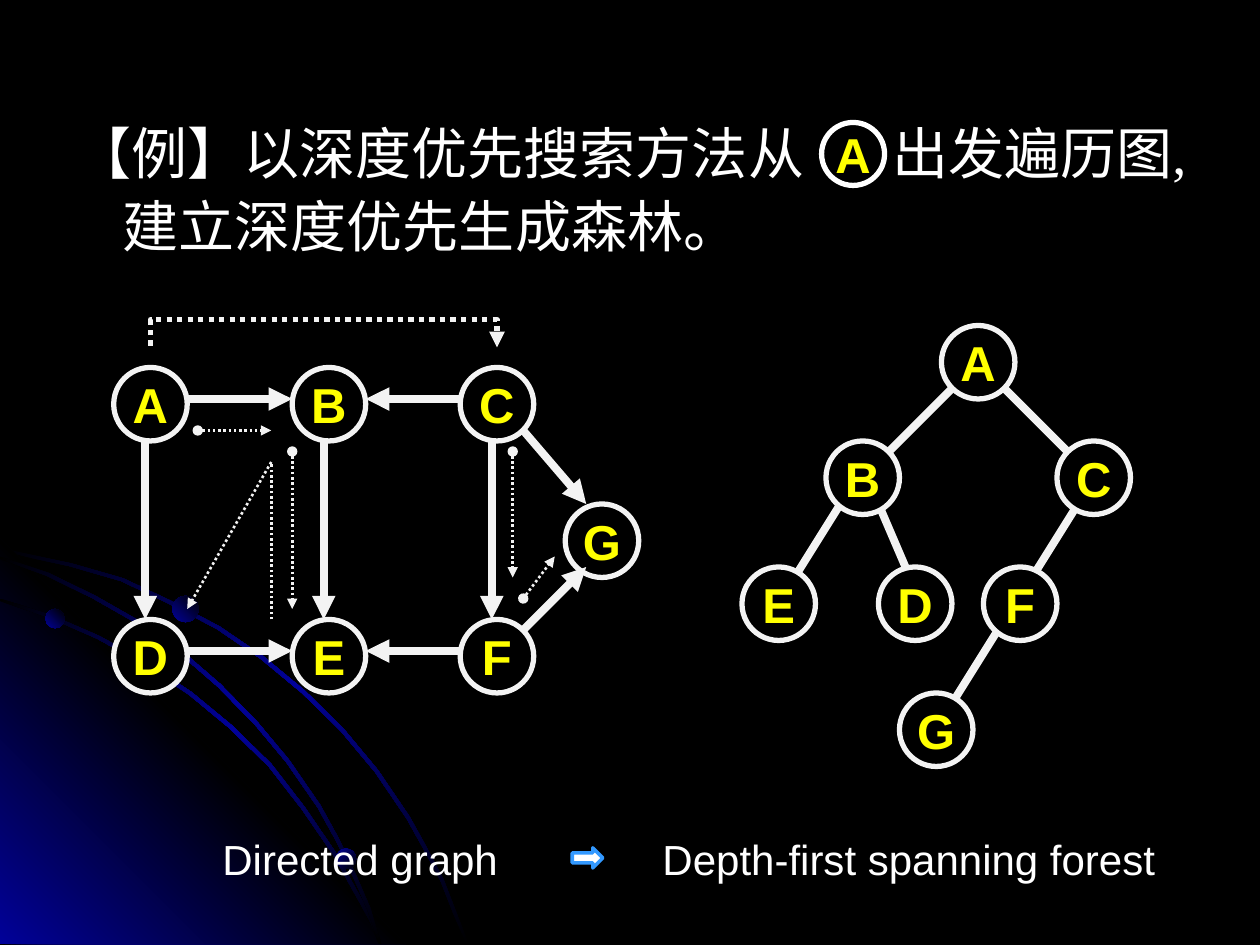
from lxml import etree
from pptx import Presentation
from pptx import util as u
from pptx.dml.color import RGBColor
from pptx.enum import dml, shapes, text
from pptx.oxml import ns

Pt = u.Pt
HUE = {"back": "000000", "blue": "010199", "edge": "F3F3F3", "white": "FFFFFF",
       "mark": "FFFF00", "rim": "3399FF"}
NODE = 42
ARCS = [
    [(0, 313), (20, 317.5), (41, 322), (70.5, 330.5), (98, 343.5), (125.5, 358),
     (150.5, 375), (174, 394.5), (196, 416), (216, 440), (234, 466.5),
     (244, 484.5), (253.5, 502.5), (260.5, 520.5), (268, 539.5)],
    [(0, 342), (29.5, 351.5), (57, 363.5), (84, 378.5), (109.5, 395.5),
     (132.5, 414.5), (155, 436.5), (174, 461), (191.5, 486.5), (206, 512.5),
     (213, 525.5), (218, 539.5)],
    [(0, 318), (28, 327.5), (54.5, 340.5), (80, 355), (103.5, 371.5), (126, 391),
     (147, 412.5), (165, 434), (183, 460), (193.5, 479), (203, 499),
     (211.5, 518.5), (218, 539.5)],
]


def hue(name):
    return RGBColor.from_string(HUE[name])


def sub(node, tag, **attrs):
    return etree.SubElement(node, ns.qn(tag), attrs)


def add_run(para, words, size, color, font="Arial", bold=False, gap=0):
    run = para.add_run()
    run.text = words
    run.font.size, run.font.name, run.font.bold = Pt(size), font, bold
    run.font.color.rgb = hue(color)
    if gap:
        run._r.get_or_add_rPr().set("spc", str(gap * 100))


def add_line(slide, start, end, width=4.5, head=None, tail=None, dots=False,
             kind=shapes.MSO_CONNECTOR.STRAIGHT):
    line = slide.shapes.add_connector(kind, *map(Pt, (*start, *end)))
    line.line.color.rgb = hue("edge")
    line.line.width = Pt(width)
    if dots:
        line.line.dash_style = dml.MSO_LINE.ROUND_DOT
    for tag, tip in (("a:headEnd", head), ("a:tailEnd", tail)):
        if tip:
            sub(line.line._get_or_add_ln(), tag, type=tip)
    sub(line._element.spPr, "a:effectLst")
    return line


def add_node(slide, name, x, y, size=NODE, fill=True, edge="edge"):
    node = slide.shapes.add_shape(shapes.MSO_SHAPE.OVAL, Pt(x), Pt(y), Pt(size), Pt(size))
    node.shadow.inherit = False
    if fill:
        node.fill.solid()
        node.fill.fore_color.rgb = hue("back")
    else:
        node.fill.background()
    node.line.color.rgb = hue(edge)
    node.line.width = Pt(3)
    frame = node.text_frame
    frame.word_wrap = False
    frame.vertical_anchor = text.MSO_ANCHOR.MIDDLE
    para = frame.paragraphs[0]
    para.alignment = text.PP_ALIGN.CENTER
    add_run(para, name, 28, "mark", bold=True)


def shade(shape, stops, angle):
    shape.shadow.inherit = False
    shape.line.fill.background()
    shape.fill.gradient()
    grad = shape._element.spPr.find(ns.qn("a:gradFill"))
    for child in list(grad):
        grad.remove(child)
    chain = sub(grad, "a:gsLst")
    for spot, name in stops:
        stop = sub(chain, "a:gs", pos=str(spot * 1000))
        sub(stop, "a:srgbClr", val=HUE[name])
    sub(grad, "a:lin", ang=str(angle * 60000), scaled="0")


def add_form(slide, points, stops, angle):
    dots = [(Pt(x), Pt(y)) for x, y in points]
    form = slide.shapes.build_freeform(*dots[0])
    form.add_line_segments(dots[1:], close=True)
    shade(form.convert_to_shape(), stops, angle)


def add_decor(slide, x, y, foot):
    def add_arc(arc):
        inner = [(max(0, a - 1.5), min(foot, b + 1.5)) for a, b in reversed(arc)]
        points = [(x + a, y + b) for a, b in arc + inner]
        add_form(slide, points, [(0, "back"), (50, "blue"), (100, "back")], 45)

    add_arc(ARCS[0])
    wedge = [(x, y + 307.5), (x + 232, y + foot), (x, y + foot)]
    add_form(slide, wedge, [(0, "blue"), (50, "back"), (100, "blue")], 315)
    for arc in ARCS[1:]:
        add_arc(arc)
    for a, b, size, angle in ((26, 348, 11, 315), (192, 485, 11.5, 45), (98.5, 340.5, 15, 315)):
        dot = slide.shapes.add_shape(shapes.MSO_SHAPE.OVAL, Pt(x + a), Pt(y + b), Pt(size), Pt(size))
        shade(dot, [(0, "blue"), (100, "back")], angle)


def add_head(slide, x, y, wide, high):
    slide.shapes.title._element.getparent().remove(slide.shapes.title._element)
    body = slide.placeholders[1]
    body.left, body.top, body.width, body.height = map(Pt, (x, y, wide, high))
    para = body.text_frame.paragraphs[0]
    para.line_spacing = 1.1
    para.space_before = Pt(0)
    props = para._p.get_or_add_pPr()
    props.set("marL", str(Pt(27)))
    props.set("indent", str(Pt(-27)))
    sub(props, "a:buNone")
    for words, gap in (("【例】以深度优先搜索方法", 0), ("从", 50),
                       ("出发遍历图, 建立深度优先生成森林。", 0)):
        add_run(para, words, 32, "white", "Times New Roman", gap=gap)
    add_node(slide, "A", x + 433.5, y + 10, 36, fill=False, edge="white")


def add_graph(slide, x, y):
    cols, rows = (0, 102, 198), (0, 144)
    spots = dict(zip("ABCDEF", [(a, b) for b in rows for a in cols]), G=(258, 78))
    for name, (a, b) in spots.items():
        add_node(slide, name, x + a, y + b)

    def link(start, end, **style):
        add_line(slide, (x + start[0], y + start[1]), (x + end[0], y + end[1]), **style)

    for b in rows:
        link((NODE, b + 18), (cols[1], b + 18), tail="triangle")
        link((cols[2], b + 18), (cols[1] + NODE, b + 18), tail="triangle")
    for a in cols:
        link((a + 18, NODE), (a + 18, rows[1]), tail="triangle")
    link((234, 36), (270, 78), tail="triangle")
    link((234, 150), (270, 114), tail="triangle")

    for start, end in (((48, 36), (90, 36)), ((102, 48), (102, 138)),
                       ((234, 132), (252, 108)), ((228, 48), (228, 120))):
        link(start, end, width=1.5, head="oval", tail="triangle", dots=True)
    link((90, 144), (90, 54), width=1.5, dots=True)
    link((90, 54), (42, 138), width=1.5, tail="triangle", dots=True)

    mid, base, half, rise = x + 120, y - 12, cols[2] / 2, 15
    jump = add_line(slide, (mid - 0.5, base + half), (mid + 0.5, base - half), width=3,
                    tail="triangle", dots=True, kind=shapes.MSO_CONNECTOR.ELBOW)
    jump._element.spPr.find(ns.qn("a:xfrm")).set("rot", str(90 * 60000))
    guide = jump._element.spPr.find(ns.qn("a:prstGeom")).find(ns.qn("a:avLst"))
    sub(guide, "a:gd", name="adj1", fmla=f"val {-rise * 100000}")


def add_tree(slide, x, y):
    for a, b, c, d in ((144, 30, 192, 78), (150, 168, 120, 216), (192, 102, 162, 150),
                       (78, 102, 96, 144), (60, 96, 30, 144), (120, 36, 84, 72)):
        add_line(slide, (x + a, y + b), (x + c, y + d))
    for name, a, b in (("A", 114, 0), ("B", 48, 66), ("D", 78, 138), ("E", 0, 138),
                       ("C", 180, 66), ("F", 138, 138), ("G", 90, 210)):
        add_node(slide, name, x + a, y + b)


def add_foot(slide, x, y):
    for words, a, wide in (("Directed graph", 0, 178.5), ("Depth-first spanning forest", 251.5, 296)):
        box = slide.shapes.add_textbox(Pt(x + a), Pt(y), Pt(wide), Pt(36))
        box.text_frame.word_wrap = False
        add_run(box.text_frame.paragraphs[0], words, 24, "white")
    arrow = slide.shapes.add_shape(shapes.MSO_SHAPE.RIGHT_ARROW, Pt(x + 207), Pt(y + 12), Pt(17.5), Pt(11.5))
    arrow.shadow.inherit = False
    arrow.fill.solid()
    arrow.fill.fore_color.rgb = hue("white")
    arrow.line.color.rgb = hue("rim")
    arrow.line.width = Pt(2)


def main():
    deck = Presentation()
    deck.slide_width, deck.slide_height = Pt(720), Pt(540)
    slide = deck.slides.add_slide(deck.slide_layouts[1])
    slide.background.fill.solid()
    slide.background.fill.fore_color.rgb = hue("back")
    add_decor(slide, 0, 0, 539.5)
    add_head(slide, 36, 60, 666, 402)
    add_graph(slide, 65, 210)
    add_tree(slide, 424, 186)
    add_foot(slide, 120, 472.5)
    deck.save("out.pptx")


if __name__ == "__main__":
    main()
